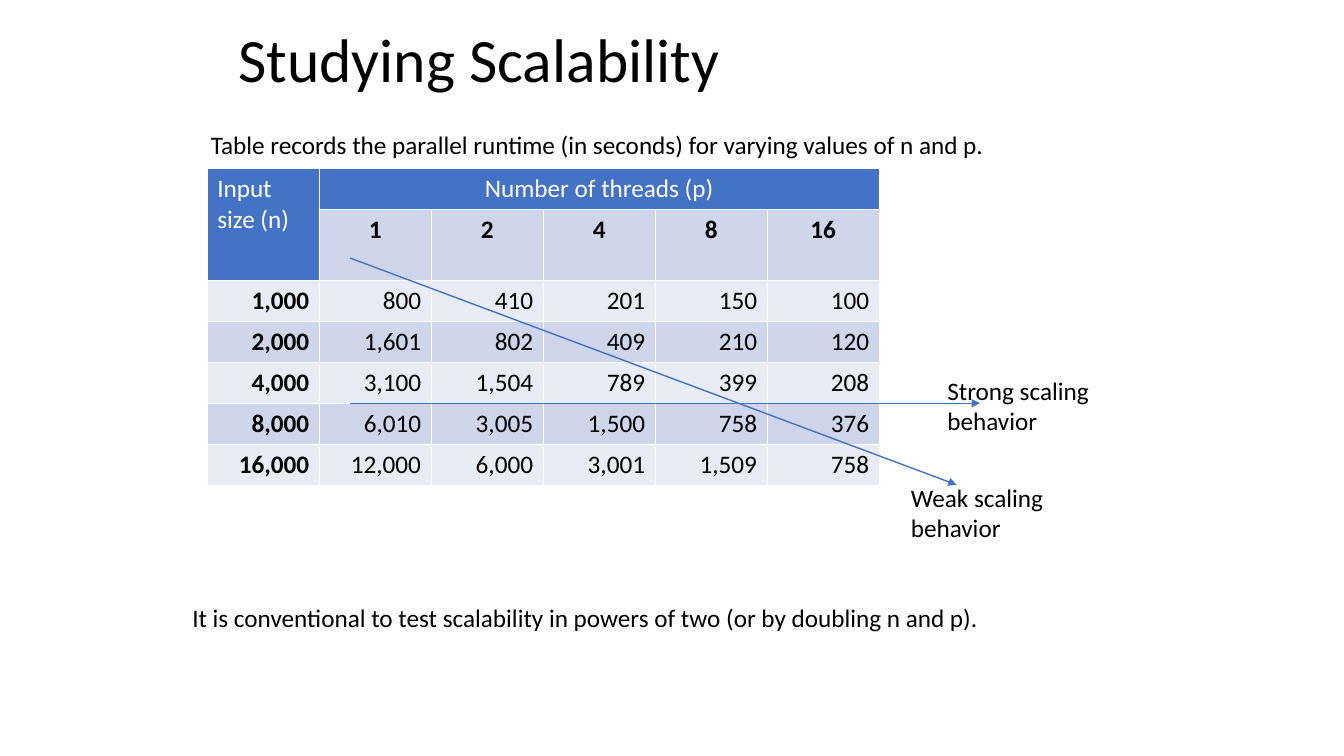
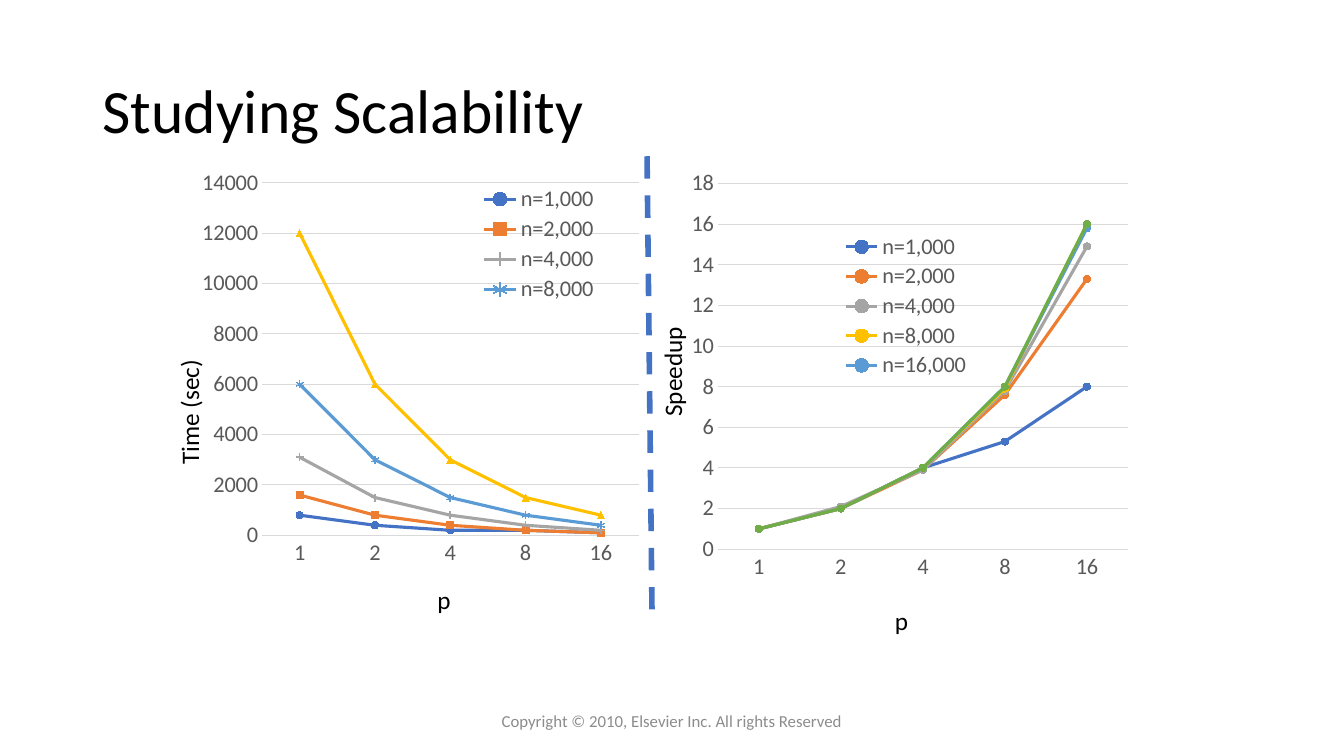
from lxml.etree import SubElement
from pptx import Presentation
from pptx.chart.data import CategoryChartData
from pptx.dml.color import RGBColor
from pptx.enum.chart import XL_CHART_TYPE, XL_LEGEND_POSITION, XL_TICK_MARK
from pptx.enum.chart import XL_MARKER_STYLE as MARK
from pptx.enum.dml import MSO_LINE
from pptx.enum.shapes import MSO_CONNECTOR
from pptx.enum.text import MSO_ANCHOR as ANCHOR, MSO_AUTO_SIZE as AUTO, PP_ALIGN as ALIGN
from pptx.oxml import parse_xml
from pptx.oxml.ns import nsdecls, qn
from pptx.util import Pt

FONT = "Calibri"
BLACK = RGBColor(0x00, 0x00, 0x00)
WHITE = RGBColor(0xFF, 0xFF, 0xFF)
BLUE = RGBColor(0x44, 0x72, 0xC4)
ORANGE = RGBColor(0xED, 0x7D, 0x31)
GRAY = RGBColor(0xA5, 0xA5, 0xA5)
GOLD = RGBColor(0xFF, 0xC0, 0x00)
SKY = RGBColor(0x5B, 0x9B, 0xD5)
GREEN = RGBColor(0x70, 0xAD, 0x47)
BAND_DARK = RGBColor(0xCF, 0xD5, 0xEA)
BAND_LIGHT = RGBColor(0xE9, 0xEB, 0xF5)
LABEL_GRAY = RGBColor(0x59, 0x59, 0x59)
GRID_GRAY = RGBColor(0xD9, 0xD9, 0xD9)
FOOTER_GRAY = RGBColor(0x8C, 0x8C, 0x8C)

THREADS = [1, 2, 4, 8, 16]
RUNTIMES = {
    1000: [800, 410, 201, 150, 100],
    2000: [1601, 802, 409, 210, 120],
    4000: [3100, 1504, 789, 399, 208],
    8000: [6010, 3005, 1500, 758, 376],
    16000: [12000, 6000, 3001, 1509, 758],
}


def write_text(frame, text, size=18, color=BLACK, bold=False, align=ALIGN.LEFT):
    """Put one formatted paragraph into a text frame."""
    paragraph = frame.paragraphs[0]
    paragraph.text = text
    paragraph.alignment = align
    font = paragraph.font
    font.name, font.size, font.bold = FONT, Pt(size), bold
    font.color.rgb = color
    return paragraph


def add_titled_slide(deck, title, left, top, width, height):
    """Add a title-only slide and format its title."""
    slide = deck.slides.add_slide(deck.slide_layouts[5])
    heading = slide.shapes.title
    heading.left, heading.top = Pt(left), Pt(top)
    heading.width, heading.height = Pt(width), Pt(height)
    frame = heading.text_frame
    frame.auto_size = AUTO.NONE
    frame.vertical_anchor = ANCHOR.MIDDLE
    write_text(frame, title, size=44).line_spacing = 0.9
    return slide


def add_label(slide, text, left, top, width, height=28.8, rotation=0, **text_format):
    """Add a text box whose text stays on its own lines."""
    label = slide.shapes.add_textbox(Pt(left), Pt(top), Pt(width), Pt(height))
    label.rotation = rotation
    frame = label.text_frame
    frame.word_wrap = False
    frame.auto_size = AUTO.SHAPE_TO_FIT_TEXT
    write_text(frame, text, **text_format)


def add_footer(slide, text):
    """Add the small centred line at the foot of a slide."""
    footer = slide.shapes.add_textbox(Pt(318), Pt(500.4), Pt(324), Pt(28.8))
    frame = footer.text_frame
    frame.word_wrap = True
    frame.vertical_anchor = ANCHOR.MIDDLE
    write_text(frame, text, size=12, color=FOOTER_GRAY, align=ALIGN.CENTER)


def add_line(slide, start, end, width=1, dash=None, arrow=False):
    """Draw a straight blue line, optionally dashed or ending in an arrow."""
    points = [Pt(value) for value in (*start, *end)]
    connector = slide.shapes.add_connector(MSO_CONNECTOR.STRAIGHT, *points)
    connector.line.color.rgb = BLUE
    connector.line.width = Pt(width)
    if dash:
        connector.line.dash_style = dash
    properties = connector.element.spPr
    if arrow:
        SubElement(properties.find(qn("a:ln")), qn("a:tailEnd"), type="triangle")
    SubElement(properties, qn("a:effectLst"))


def fill_cell(cell, text, fill, **text_format):
    """Fill a table cell, edge it in white and write its text."""
    properties = cell._tc.get_or_add_tcPr()
    for side in ("lnL", "lnR", "lnT", "lnB"):
        edge = SubElement(properties, qn(f"a:{side}"), w=str(Pt(1)))
        solid = SubElement(edge, qn("a:solidFill"))
        SubElement(solid, qn("a:srgbClr"), val=str(WHITE))
    cell.fill.solid()
    cell.fill.fore_color.rgb = fill
    write_text(cell.text_frame, text, **text_format)


def add_runtime_table(slide, left, top):
    """Add the table of runtimes by input size and thread count."""
    column_width, row_heights = 80, [28.8, 51.2] + [29.2] * len(RUNTIMES)
    column_count = len(THREADS) + 1
    table = slide.shapes.add_table(
        len(row_heights), column_count, Pt(left), Pt(top),
        Pt(column_width * column_count), Pt(sum(row_heights))).table
    for column in table.columns:
        column.width = Pt(column_width)
    for row, height in zip(table.rows, row_heights):
        row.height = Pt(height)
    table.cell(0, 0).merge(table.cell(1, 0))
    table.cell(0, 1).merge(table.cell(0, len(THREADS)))
    fill_cell(table.cell(0, 0), "Input size (n)", BLUE, color=WHITE)
    fill_cell(table.cell(0, 1), "Number of threads (p)", BLUE, color=WHITE, align=ALIGN.CENTER)
    for column, count in enumerate(THREADS, 1):
        fill_cell(table.cell(1, column), str(count), BAND_DARK, bold=True, align=ALIGN.CENTER)
    for row, (size, times) in enumerate(RUNTIMES.items(), 2):
        band = BAND_DARK if row % 2 else BAND_LIGHT
        for column, value in enumerate([size, *times]):
            fill_cell(table.cell(row, column), f"{value:,}", band,
                      bold=column == 0, align=ALIGN.RIGHT)


def manual_layout(x, y, w, h, inner=False):
    """Build a chart layout element from fractions of the chart's size."""
    target = '<c:layoutTarget val="inner"/>' if inner else ""
    return parse_xml(
        f'<c:layout {nsdecls("c")}><c:manualLayout>{target}'
        '<c:xMode val="edge"/><c:yMode val="edge"/>'
        f'<c:x val="{x}"/><c:y val="{y}"/><c:w val="{w}"/><c:h val="{h}"/>'
        '</c:manualLayout></c:layout>')


def place_parts(chart, plot_area, legend_area, unlisted):
    """Place plot and legend, leaving one series out of the legend."""
    plot = chart.element.find(".//" + qn("c:plotArea"))
    legend = chart.element.find(".//" + qn("c:legend"))
    for part in (plot, legend):
        for layout in part.findall(qn("c:layout")):
            part.remove(layout)
    plot.insert(0, manual_layout(*plot_area, inner=True))
    legend.insert(1, parse_xml(
        f'<c:legendEntry {nsdecls("c")}><c:idx val="{unlisted}"/>'
        '<c:delete val="1"/></c:legendEntry>'))
    legend.insert(2, manual_layout(*legend_area))


def style_axes(chart, maximum, step):
    """Give both axes a quiet look and fix the value scale."""
    for axis in (chart.category_axis, chart.value_axis):
        axis.major_tick_mark = axis.minor_tick_mark = XL_TICK_MARK.NONE
    chart.value_axis.minimum_scale = 0
    chart.value_axis.maximum_scale = maximum
    chart.value_axis.major_unit = step
    chart.value_axis.format.line.fill.background()
    for line in (chart.category_axis.format.line, chart.value_axis.major_gridlines.format.line):
        line.color.rgb = GRID_GRAY
        line.width = Pt(0.75)


def style_series(series, color, mark):
    """Colour one chart line and its markers."""
    series.smooth = False
    series.format.line.color.rgb = color
    series.format.line.width = Pt(2.25)
    marker = series.marker
    marker.style, marker.size = mark, 5
    marker.format.line.color.rgb = color
    if mark in (MARK.PLUS, MARK.STAR):
        marker.format.fill.background()
    else:
        marker.format.fill.solid()
        marker.format.fill.fore_color.rgb = color


def add_line_chart(slide, box, curves, styles, scale, plot_area, legend_area):
    """Add a line chart of the named curves against thread count."""
    data = CategoryChartData()
    data.categories = [str(count) for count in THREADS]
    for name, values in curves.items():
        data.add_series(name, values)
    chart = slide.shapes.add_chart(
        XL_CHART_TYPE.LINE_MARKERS, *(Pt(value) for value in box), data).chart
    chart.has_title = False
    chart.font.name, chart.font.size = FONT, Pt(16)
    chart.font.color.rgb = LABEL_GRAY
    chart.has_legend = True
    chart.legend.position = XL_LEGEND_POSITION.RIGHT
    chart.legend.include_in_layout = True
    chart.plots[0].vary_by_categories = False
    style_axes(chart, *scale)
    for series, (color, mark) in zip(chart.plots[0].series, styles):
        style_series(series, color, mark)
    place_parts(chart, plot_area, legend_area, len(curves) - 1)


def build_table_slide(deck):
    """Build the slide with the runtimes and the two scaling arrows."""
    slide = add_titled_slide(deck, "Studying Scalability", 163, 0, 648, 90)
    add_runtime_table(slide, 148, 120.2)
    add_label(slide, "It is conventional to test scalability in powers of two "
              "(or by doubling n and p).", 130.3, 426.6, 583.2)
    add_label(slide, "Table records the parallel runtime (in seconds) for varying "
              "values of n and p.", 143.5, 88.6, 569.5)
    add_line(slide, (250, 288), (700, 288), arrow=True)
    add_label(slide, "Strong scaling \vbehavior", 669.6, 264.2, 121, 51)
    add_line(slide, (250, 184.3), (683.3, 346.3), arrow=True)
    add_label(slide, "Weak scaling \vbehavior", 643.5, 340.6, 114.5, 51)


def build_chart_slide(deck):
    """Build the slide that plots runtime beside speedup."""
    slide = add_titled_slide(deck, "Studying Scalability", 66, 29, 828, 104.4)
    times, speedups = {}, {}
    for size, values in RUNTIMES.items():
        name = f"n={size:,}"
        times[name] = [round(value, -2) for value in values]
        speedups[name] = [round(values[0] / value, 1) for value in values]
    speedups["Ideal"] = THREADS
    time_styles = [(BLUE, MARK.CIRCLE), (ORANGE, MARK.SQUARE), (GRAY, MARK.PLUS),
                   (SKY, MARK.STAR), (GOLD, MARK.TRIANGLE)]
    speedup_styles = [(color, MARK.CIRCLE)
                      for color in (BLUE, ORANGE, GRAY, GOLD, SKY, GREEN)]
    add_line_chart(slide, (139.7, 118.8, 316.8, 293), times, time_styles, (14000, 2000),
                   (0.15, 0.04, 0.85, 0.86), (0.63, 0.04, 0.29, 0.3))
    add_label(slide, "p", 305.3, 414, 24.5)
    add_label(slide, "Time (sec)", 90, 279.4, 90, rotation=270)
    add_line_chart(slide, (493.9, 118.8, 346.3, 307.4), speedups, speedup_styles, (18, 2),
                   (0.05, 0.04, 0.85, 0.85), (0.29, 0.15, 0.3, 0.35))
    add_label(slide, "Speedup", 440.6, 250.6, 79.2, rotation=270)
    add_label(slide, "p", 632.2, 428.6, 24.5)
    add_footer(slide, "Copyright © 2010, Elsevier Inc. All rights Reserved")
    add_line(slide, (462.2, 111.6), (465.8, 442.8), width=4, dash=MSO_LINE.DASH)


def main():
    """Build and save the deck."""
    deck = Presentation()
    deck.slide_width, deck.slide_height = Pt(960), Pt(540)
    build_table_slide(deck)
    build_chart_slide(deck)
    deck.save("out.pptx")


if __name__ == "__main__":
    main()
